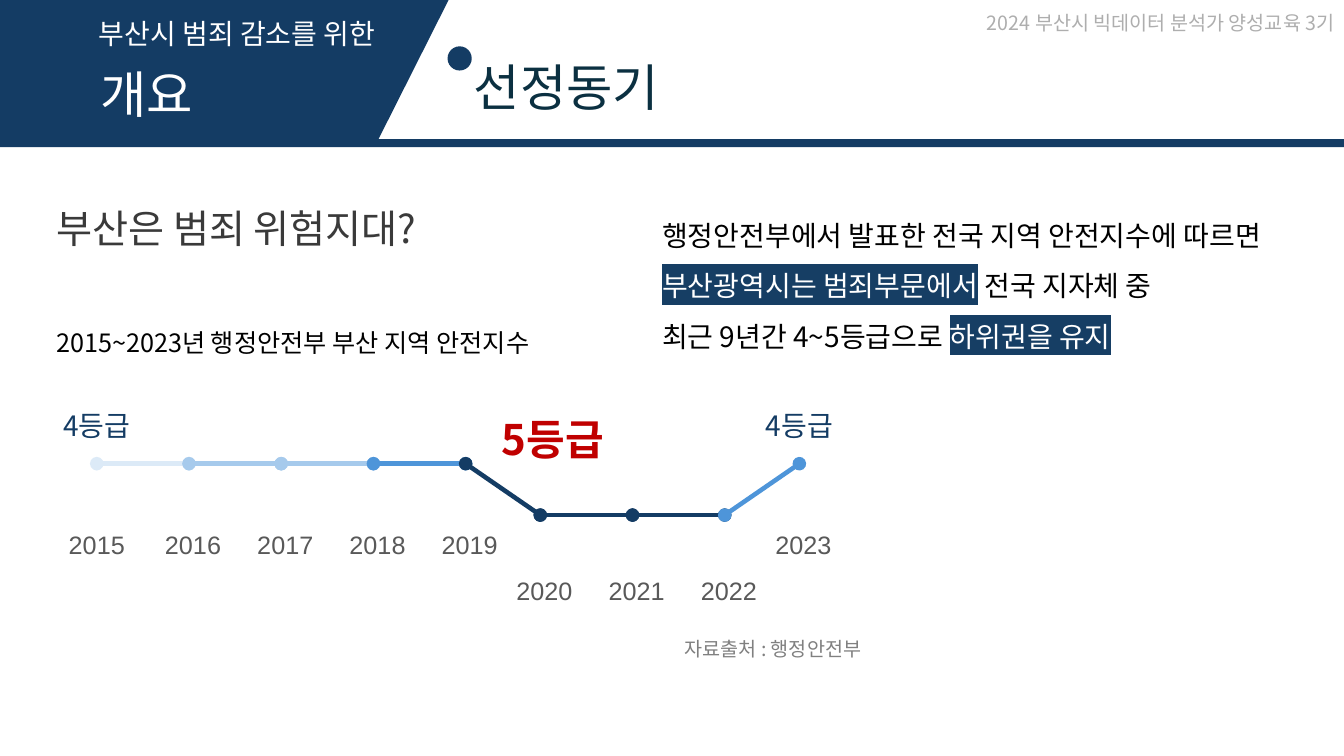
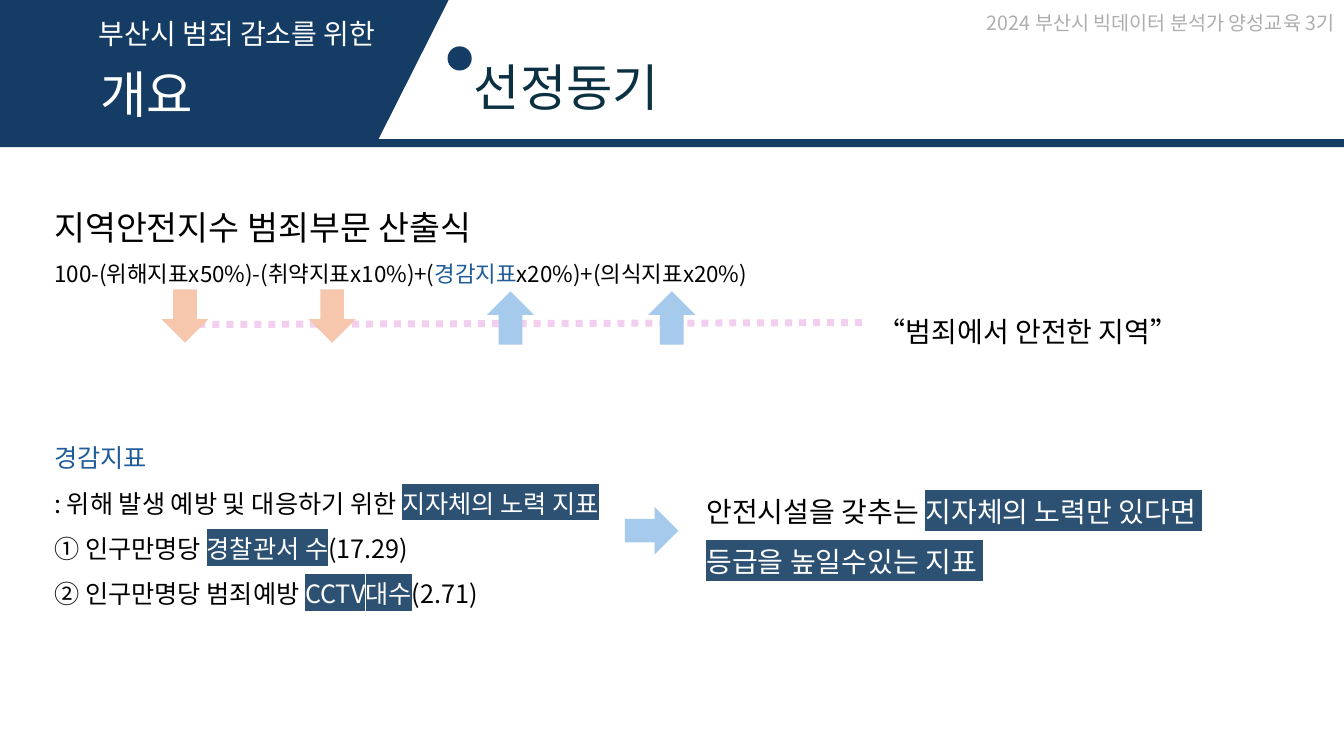
from dataclasses import dataclass
from itertools import accumulate, pairwise

from lxml.etree import SubElement as Sub
from pptx import Presentation
from pptx.dml.color import RGBColor as Rgb
from pptx.enum.dml import MSO_LINE as Dash
from pptx.enum.shapes import MSO_CONNECTOR as Link, MSO_SHAPE as Kind
from pptx.enum.text import MSO_ANCHOR as Anchor, MSO_AUTO_SIZE as Fit, PP_ALIGN as Align
from pptx.oxml.ns import qn
from pptx.util import Inches, Pt

CELL = Inches(0.1)
COLS, ROWS = 133.33, 75


@dataclass(frozen=True)
class Theme:
    navy: str = "143C64"
    ink: str = "0B3041"
    black: str = "000000"
    white: str = "FFFFFF"
    head: str = "3A3A3A"
    year: str = "595959"
    note: str = "808080"
    pale: str = "AEAEAE"
    blue: str = "1F5C99"
    red: str = "C00000"
    mark: str = "163E64"
    slate: str = "2D5173"
    ice: str = "DCEAF7"
    sky: str = "A6CAEC"
    azure: str = "4E95D9"
    peach: str = "F6C6AD"
    pink: str = "F2CFEE"
    font: str = "Noto Sans CJK KR"
    digit: str = "Arial"
    title: int = 36
    alert: int = 30
    lead: int = 28
    sub: int = 24
    body: int = 20
    text: int = 18
    small: int = 16
    tiny: int = 14


T = Theme()


def grid(*cells):
    return [round(n * CELL) for n in cells]


def style(run, size, color, mark=None, font=T.font, bold=False):
    face = run.font
    face.size, face.bold = Pt(size), bold
    face.color.rgb = Rgb.from_string(color)
    props = face._element
    if mark:
        Sub(Sub(props, qn("a:highlight")), qn("a:srgbClr"), val=mark)
    face.name = font
    Sub(props, qn("a:ea"), typeface=font)


def write(frame, paras, size, color, align=Align.LEFT, space=None, **look):
    frame.word_wrap = True
    frame.auto_size = Fit.SHAPE_TO_FIT_TEXT
    frame.vertical_anchor = Anchor.TOP
    for i, parts in enumerate(paras):
        para = frame.add_paragraph() if i else frame.paragraphs[0]
        parts = [(part, {}) if isinstance(part, str) else part for part in parts]
        para.text = parts[0][0]
        for words, _ in parts[1:]:
            para.add_run().text = words
        para.alignment = align
        if space:
            para.line_spacing = space
        for run, (_, diff) in zip(para.runs, parts):
            style(run, **{"size": size, "color": color, **look, **diff})


def label(slide, spot, text, size, color, **look):
    box = slide.shapes.add_textbox(*grid(*spot))
    paras = [[text]] if isinstance(text, str) else text
    write(box.text_frame, paras, size, color, **look)
    return box


def paint(shape, color):
    shape.shadow.inherit = False
    shape.fill.solid()
    shape.fill.fore_color.rgb = Rgb.from_string(color)
    shape.line.fill.background()


def block(slide, kind, spot, color, turn=0):
    shape = slide.shapes.add_shape(kind, *grid(*spot))
    paint(shape, color)
    shape.rotation = turn


def arrow(slide, left, top, color, turn=0):
    block(slide, Kind.UP_ARROW, (left, top, 4.7, 5.3), color, turn)


def stroke(slide, start, end, color, width, dots=False):
    line = slide.shapes.add_connector(Link.STRAIGHT, *grid(*start, *end))
    line.line.color.rgb = Rgb.from_string(color)
    line.line.width = Pt(width)
    props = line.element.spPr
    if dots:
        line.line.dash_style = Dash.ROUND_DOT
    else:
        for tag in ("a:headEnd", "a:tailEnd"):
            Sub(props.find(qn("a:ln")), qn(tag), type="oval")
    Sub(props, qn("a:effectLst"))


def stamp(layout, slide):
    for part in list(layout.placeholders):
        if part.placeholder_format.idx:
            part.element.getparent().remove(part.element)
    box = label(slide, (66.5, 0.6, 66.9, 3.4), "2024 부산시 빅데이터 분석가 양성교육 3기",
                T.tiny, T.pale, align=Align.RIGHT)
    layout.shapes.element.append(box.element)


def header(slide):
    title = slide.shapes.title
    title.left, title.top, title.width, title.height = grid(46, 5.1, 21.6, 7.1)
    write(title.text_frame, [["선정동기"]], T.title, T.ink)
    band = slide.shapes.build_freeform(0, 0, scale=1.0)
    edge = [(44.5, 0), (37.2, 14.5), (0, 14.2)]
    band.add_line_segments([grid(*spot) for spot in edge], close=True)
    paint(band.convert_to_shape(), T.navy)
    block(slide, Kind.RECTANGLE, (0, 13.8, COLS, 0.8), T.navy)
    block(slide, Kind.OVAL, (44.4, 4.6, 2.4, 2.4), T.navy)
    label(slide, (8.8, 1.1, 37.3, 4.4), "부산시 범죄 감소를 위한", T.body, T.white)
    label(slide, (9, 5.8, 21.6, 7.1), "개요", T.title, T.white)


def trend(slide):
    ranks = [4, 4, 4, 4, 4, 5, 5, 5, 4]
    hues = [T.ice, T.sky, T.sky, T.azure, T.navy, T.navy, T.navy, T.azure]
    steps = [9.15 if a == b else 7.4 for a, b in pairwise(ranks)]
    spots = [(x, 46 if rank == 4 else 51.1)
             for x, rank in zip(accumulate(steps, initial=9.6), ranks)]
    for (start, end), hue in zip(pairwise(spots), hues):
        stroke(slide, start, end, hue, 3.25)
    for i, ((x, _), rank) in enumerate(zip(spots, ranks)):
        left = x - 4.55 + (0.4 if i else 0)
        top = 52 if rank == 4 else 56.6
        label(slide, (left, top, 9.1, 4), str(2015 + i), T.text, T.year,
              align=Align.CENTER, font=T.digit)
    for left in (4, 73.7):
        label(slide, (left, 40, 11.2, 4.3), "4등급", T.body, T.navy, align=Align.CENTER)
    label(slide, (47.9, 40.5, 13.9, 6), "5등급", T.alert, T.red,
          align=Align.CENTER, bold=True)


def motive(slide):
    glow = {"color": T.white, "mark": T.mark}
    label(slide, (4.6, 19.8, 62.7, 5.7), "부산은 범죄 위험지대?", T.lead, T.head)
    label(slide, (64.7, 19.5, 65.6, 16.2), [
        ["행정안전부에서 발표한 전국 지역 안전지수에 따르면 ",
         ("부산광역시는 범죄부문에서", glow), " 전국 지자체 중"],
        ["최근 9년간 4~5등급으로 ", ("하위권을 유지", glow)],
    ], T.body, T.black, space=1.5)
    label(slide, (4.6, 30.5, 53.9, 5.6), "2015~2023년 행정안전부 부산 지역 안전지수",
          T.text, T.black, space=1.5)
    trend(slide)
    label(slide, (66.9, 61.5, 25.3, 4.5), "자료출처 : 행정안전부", T.tiny, T.note, space=1.5)


def index(slide):
    glow = {"color": T.white, "mark": T.slate}
    blue = {"color": T.blue}
    small = {"size": T.small}
    stroke(slide, (18.3, 32.2), (86, 32), T.pink, 5, dots=True)
    label(slide, (4.4, 18, 78.7, 11.1), [
        [("지역안전지수 범죄부문 산출식", {"size": T.sub})],
        [("100-(위해지표x50%)-(취약지표x10%)+(", small),
         ("경감지표", {**small, **blue}), ("x20%)+(의식지표x20%)", small)],
    ], T.sub, T.black, space=1.5)
    for left in (16, 30.6):
        arrow(slide, left, 28.7, T.peach, 180)
    for left in (48.3, 64.3):
        arrow(slide, left, 28.9, T.sky)
    label(slide, (86, 29, 32, 6.1), "“범죄에서 안전한 지역”", T.body, T.black,
          align=Align.CENTER, space=1.5)
    label(slide, (4.4, 41.9, 57.1, 19.2), [
        [("경감지표", blue)],
        [": 위해 발생 예방 및 대응하기 위한 ", ("지자체의 노력 지표", glow)],
        ["① 인구만명당 ", ("경찰관서 수", glow), "(17.29)"],
        ["② 인구만명당 범죄예방 ", ("CCTV대수", glow), "(2.71)"],
    ], T.text, T.black, space=1.5)
    arrow(slide, 62.3, 50, T.sky, 90)
    label(slide, (69.1, 46.9, 62.4, 11.1), [
        ["안전시설을 갖추는 ", ("지자체의 노력만 있다면 ", glow)],
        [("등급을 높일수있는 지표 ", glow)],
    ], T.body, T.black, space=1.5)


def main():
    deck = Presentation()
    deck.slide_width, deck.slide_height = grid(COLS, ROWS)
    layout = deck.slide_layouts[5]
    for i, fill in enumerate((motive, index)):
        slide = deck.slides.add_slide(layout)
        if not i:
            stamp(layout, slide)
        header(slide)
        fill(slide)
    deck.save("out.pptx")


if __name__ == "__main__":
    main()
